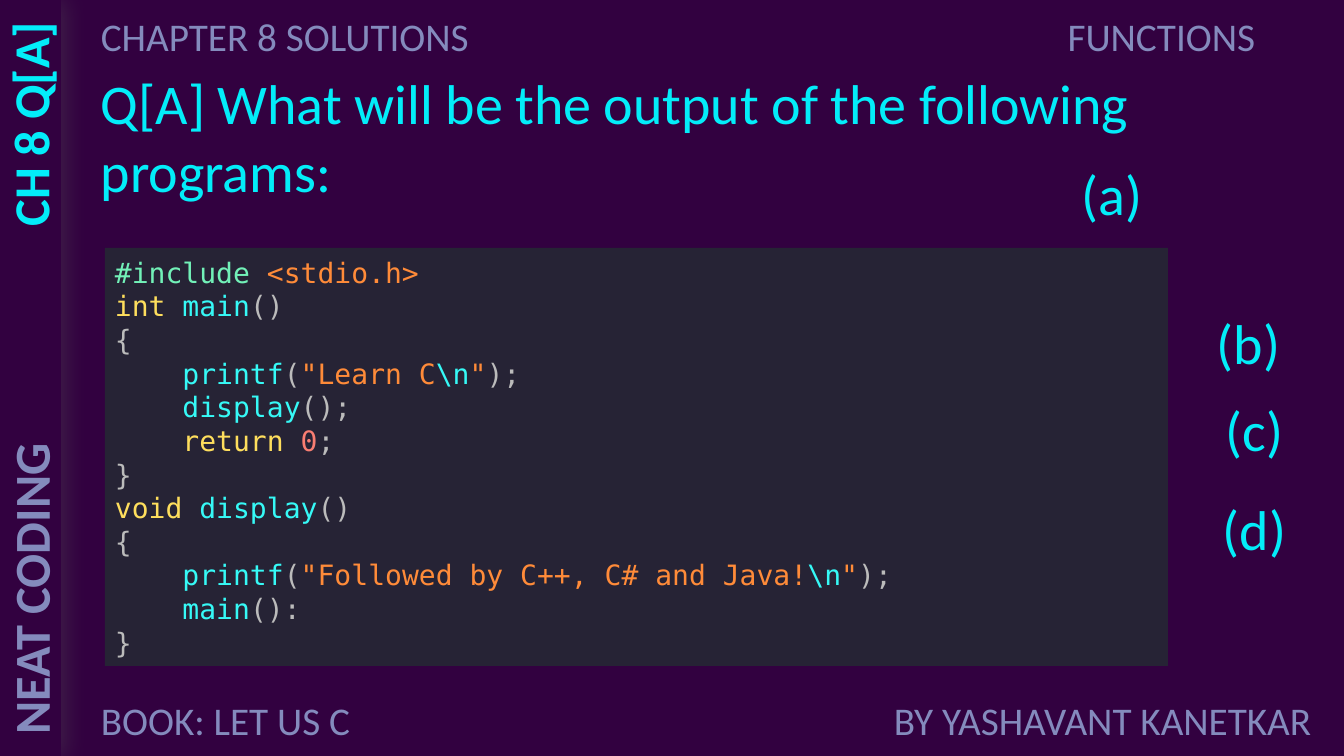
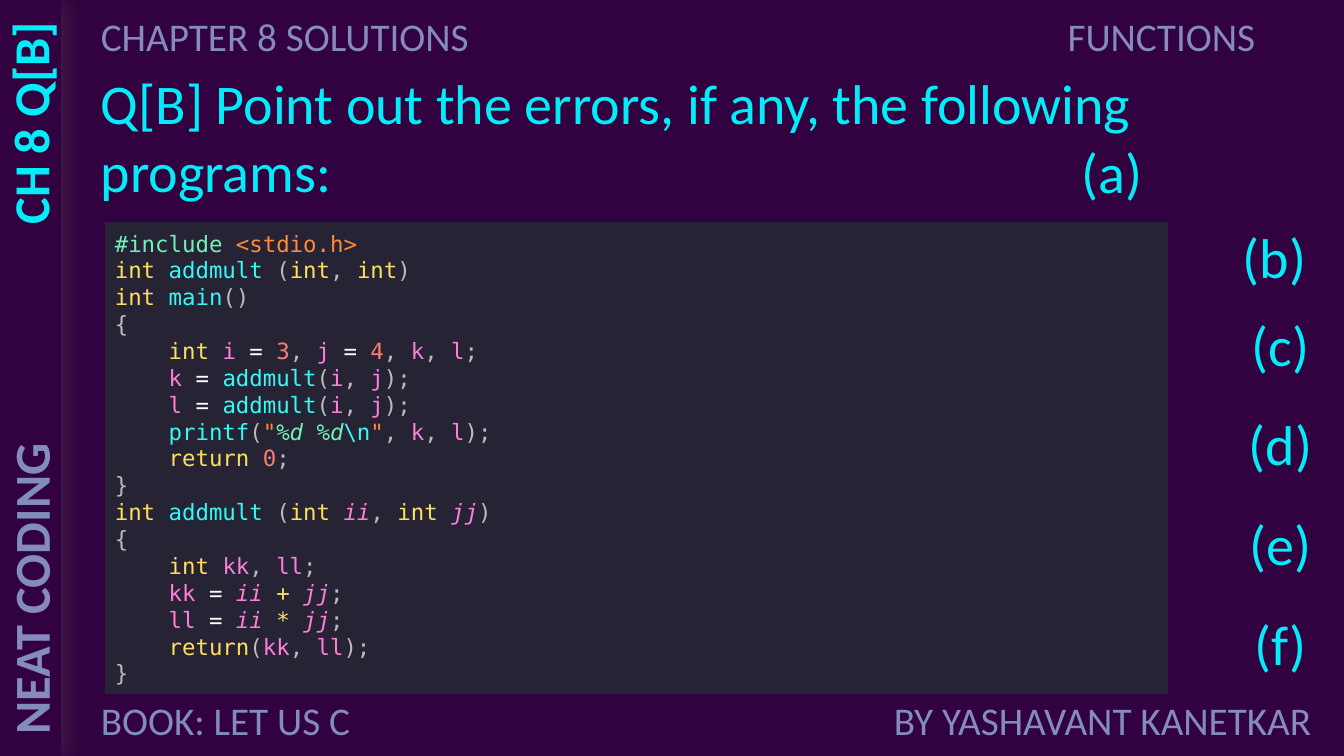
from lxml import etree
from pptx import Presentation
from pptx.dml.color import RGBColor
from pptx.enum import shapes, text
from pptx.oxml import ns
from pptx.util import Emu, Pt

PIXEL = 914400 / 100.8
WIDTH, HEIGHT = 1344, 756
LEFT, RIGHT, CENTER = text.PP_ALIGN.LEFT, text.PP_ALIGN.RIGHT, text.PP_ALIGN.CENTER
INDENT = "\u00a0 \u00a0 "


class Theme:
    background = "320140"
    accent = "03EDF9"
    muted = "848BBD"
    shadow = "595959"
    panel = "262335"
    body_font = "Calibri"
    code_font = "DejaVu Sans Mono"
    title_size = 40
    side_size = 36
    band_size = 28
    syntax = {
        "pre": ("72F1B8", False),
        "str": ("FF8B39", False),
        "key": ("FEDE5D", False),
        "fn": ("36F9F6", False),
        "pun": ("BBBBBB", False),
        "num": ("F97E72", False),
        "var": ("FF7EDB", False),
        "arg": ("FF7EDB", True),
        "fmt": ("72F1B8", True),
        "op": ("FFFFFF", False),
    }


QUESTION_A = {
    "side": "CH 8 Q[A]",
    "title": "Q[A] What will be the output of the following programs:",
    "panel": (105, 248, 1063, 418),
    "code_size": 20,
    "labels": [(1072, 155), (1207, 304), (1211, 391), (1211, 490)],
    "code": r"""pre:#include |str:<stdio.h>
key:int |fn:main|pun:()
pun:{
    fn:printf|pun:(|str:"Learn C|fn:\n|str:"|pun:);
    fn:display|pun:();
    key:return |num:0|pun:;
pun:}
key:void |fn:display|pun:()
pun:{
    fn:printf|pun:(|str:"Followed by C++, C# and Java!|fn:\n|str:"|pun:);
    fn:main|pun:():
pun:}""",
}

QUESTION_B = {
    "side": "CH 8 Q[B]",
    "title": "Q[B] Point out the errors, if any, the following programs:",
    "panel": (105, 222, 1063, 472),
    "code_size": 16,
    "labels": [(1072, 133), (1233, 218)] + [(1237, top) for top in (306, 405, 505, 605)],
    "code": r"""pre:#include |str:<stdio.h>
key:int |fn:addmult|pun: (|key:int|pun:, |key:int|pun:)
key:int |fn:main|pun:()
pun:{
    key:int |var:i |op:= |num:3|pun:, |var:j |op:= |num:4|pun:, |var:k|pun:, |var:l|pun:;
    var:k |op:= |fn:addmult|pun:(|var:i|pun:, |var:j|pun:);
    var:l |op:= |fn:addmult|pun:(|var:i|pun:, |var:j|pun:);
    fn:printf|pun:(|str:"|fmt:%d %d|fn:\n|str:"|pun:, |var:k|pun:, |var:l|pun:);
    key:return |num:0|pun:;
pun:}
key:int |fn:addmult|pun: (|key:int |arg:ii|pun:, |key:int |arg:jj|pun:)
pun:{
    key:int |var:kk|pun:, |var:ll|pun:;
    var:kk |op:= |arg:ii |key:+ |arg:jj|pun:;
    var:ll |op:= |arg:ii |key:* |arg:jj|pun:;
    key:return|pun:(|var:kk|pun:, |var:ll|pun:);
pun:}""",
}


def px(value):
    return Emu(round(value * PIXEL))


def add_run(paragraph, content, *, size, color, font=Theme.body_font, bold=False, italic=False):
    run = paragraph.add_run()
    run.text = content
    run.font.name = font
    run.font.size = Pt(size)
    run.font.bold = bold
    run.font.italic = italic
    run.font.color.rgb = RGBColor.from_string(color)


def add_label(slide, content, box, *, align=LEFT, rotation=0, **style):
    shape = slide.shapes.add_textbox(*map(px, box))
    shape.rotation = rotation
    frame = shape.text_frame
    frame.word_wrap = True
    frame.auto_size = text.MSO_AUTO_SIZE.SHAPE_TO_FIT_TEXT
    paragraph = frame.paragraphs[0]
    paragraph.alignment = align
    add_run(paragraph, content, **style)


def add_rectangle(slide, box, color):
    shape = slide.shapes.add_shape(shapes.MSO_SHAPE.RECTANGLE, *map(px, box))
    shape.shadow.inherit = False
    shape.fill.solid()
    shape.fill.fore_color.rgb = RGBColor.from_string(color)
    shape.line.fill.background()
    return shape


def add_side_band(slide):
    band = add_rectangle(slide, (-1315, 0, 1376, HEIGHT), Theme.background)
    effects = band._element.spPr.find(ns.qn("a:effectLst"))
    shadow = etree.SubElement(
        effects, ns.qn("a:outerShdw"), blurRad=str(Pt(17)), dist=str(Pt(3)),
        dir="0", algn="l", rotWithShape="0")
    color = etree.SubElement(shadow, ns.qn("a:srgbClr"), val=Theme.shadow)
    etree.SubElement(color, ns.qn("a:alpha"), val="35000")


def add_code(slide, code, box, size):
    frame = add_rectangle(slide, box, Theme.panel).text_frame
    frame.word_wrap = True
    frame.vertical_anchor = text.MSO_ANCHOR.MIDDLE
    for number, line in enumerate(code.split("\n")):
        paragraph = frame.add_paragraph() if number else frame.paragraphs[0]
        paragraph.alignment = LEFT
        tokens = line.lstrip()
        if tokens != line:
            tokens = f"pun:{INDENT}|{tokens}"
        for token in tokens.split("|"):
            kind, _, content = token.partition(":")
            color, italic = Theme.syntax[kind]
            add_run(paragraph, content, size=size, color=color,
                    font=Theme.code_font, italic=italic)


def add_frame(slide, side):
    slide.background.fill.solid()
    slide.background.fill.fore_color.rgb = RGBColor.from_string(Theme.background)
    add_side_band(slide)
    add_label(slide, side, (-92, 98, 244, 72), align=RIGHT, rotation=270,
              size=Theme.side_size, color=Theme.accent, bold=True)
    add_label(slide, "NEAT CODING", (-140, 538, 341, 72), rotation=270,
              size=Theme.side_size, color=Theme.muted, bold=True)
    bands = [
        ("CHAPTER 8 SOLUTIONS", (91, 7, 421, 57), LEFT),
        ("FUNCTIONS", (564, 7, 701, 57), RIGHT),
        ("BOOK: LET US C", (91, 691, 280, 57), LEFT),
        ("BY YASHAVANT KANETKAR", (841, 691, 480, 57), RIGHT),
    ]
    for content, box, align in bands:
        add_label(slide, content, box, align=align, size=Theme.band_size, color=Theme.muted)


def add_question(presentation, question):
    slide = presentation.slides.add_slide(presentation.slide_layouts[6])
    add_frame(slide, question["side"])
    heading = {"size": Theme.title_size, "color": Theme.accent}
    add_label(slide, question["title"], (91, 64, 1230, 146), **heading)
    add_code(slide, question["code"], question["panel"], question["code_size"])
    for letter, (left, top) in zip("abcdef", question["labels"]):
        add_label(slide, f"({letter})", (left, top, 87, 78),
                  align=LEFT if letter in "ab" else CENTER, **heading)


def main():
    presentation = Presentation()
    presentation.slide_width, presentation.slide_height = px(WIDTH), px(HEIGHT)
    for question in (QUESTION_A, QUESTION_B):
        add_question(presentation, question)
    presentation.save("out.pptx")


main()
